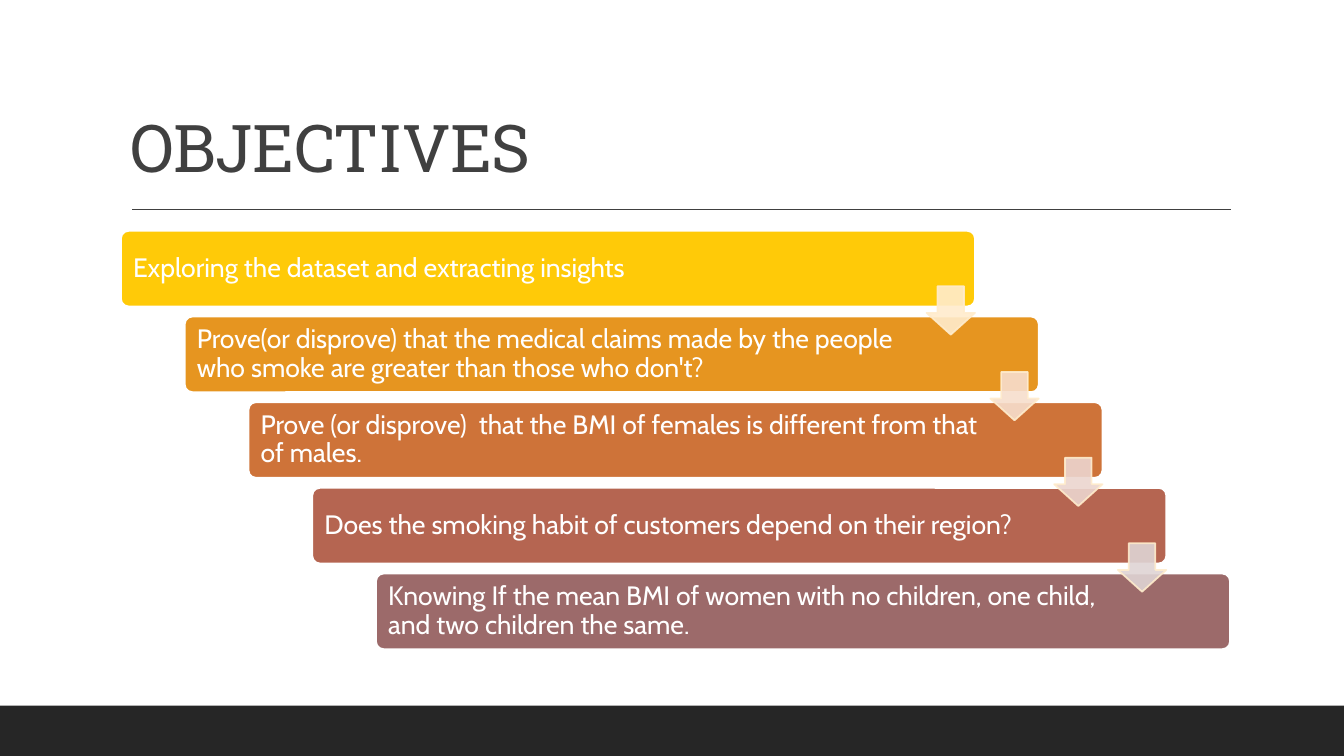
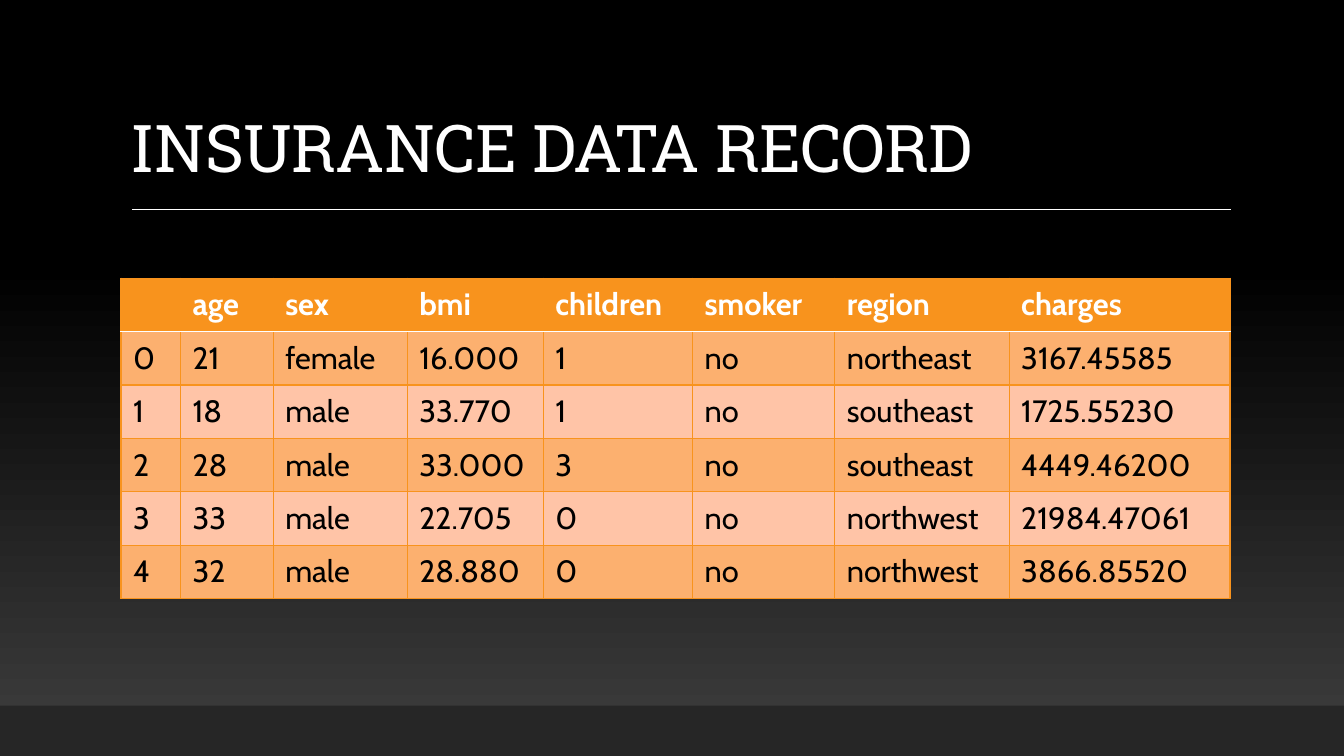
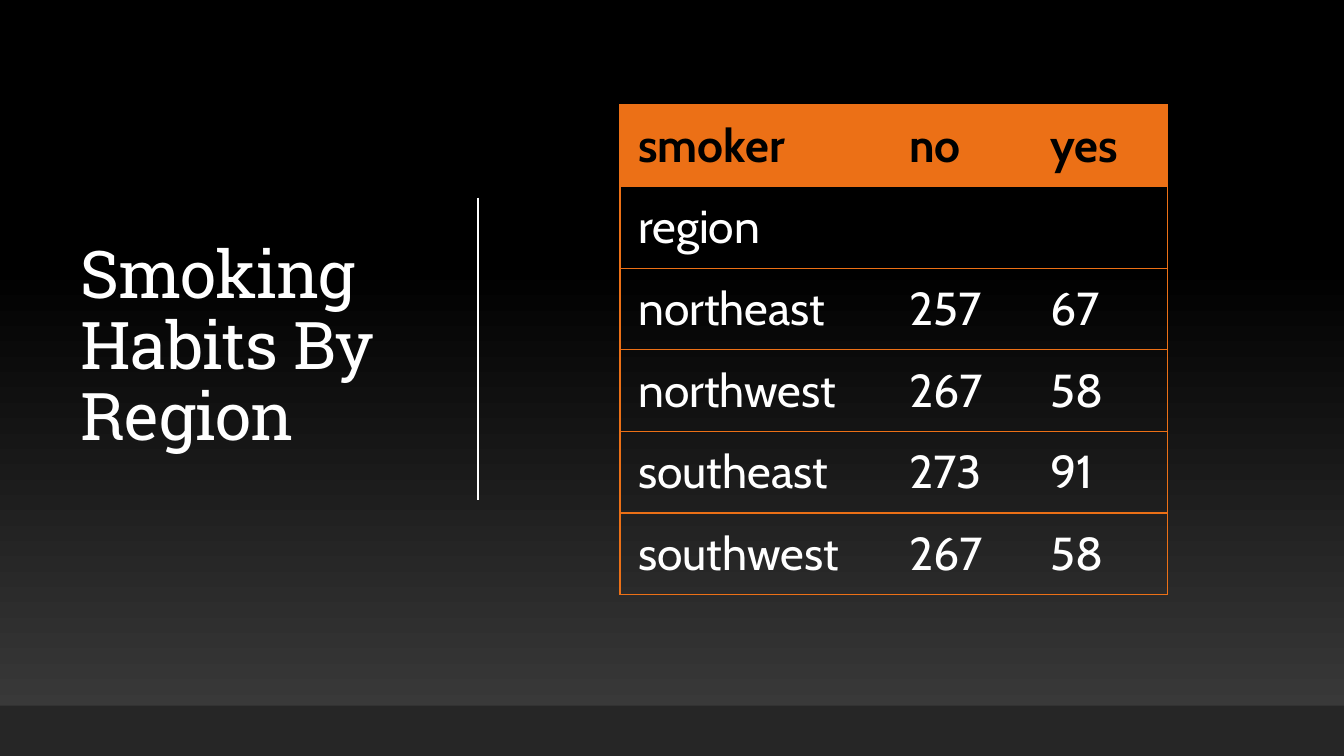
"""Build three slides on an insurance claims study."""
from lxml import etree
from pptx import Presentation
from pptx import util as u
from pptx.dml import color
from pptx.enum import shapes, text
from pptx.oxml import ns

HEAD, BODY = "Roboto Slab", "Cabin"
WHITE, BLACK, DARK, BAND = "FFFFFF", "000000", "404040", "262626"
AMBER, ORANGE, CREAM = "F8931D", "EC7016", "FFECCC"
WIDE, TALL = 13.33, 7.5
LEFT, SPAN = 1.2, 11

GOALS = [
    ("Exploring the dataset and extracting insights", "FFCA08", CREAM),
    ("Prove(or disprove) that the medical claims made by the people "
     "who smoke are greater than those who don't?", "E69520", "F7DECD"),
    ("Prove (or disprove)  that the BMI of females is different from that of males.",
     "CE7339", "ECD5CF"),
    ("Does the smoking habit of customers depend on their region?", "B56551", "DFD4D4"),
    ("Knowing If the mean BMI of women with no children, one child, "
     "and two children the same.", "9C6A6A", None),
]
RECORD = [
    ["", "age", "sex", "bmi", "children", "smoker", "region", "charges"],
    ["0", "21", "female", "16.000", "1", "no", "northeast", "3167.45585"],
    ["1", "18", "male", "33.770", "1", "no", "southeast", "1725.55230"],
    ["2", "28", "male", "33.000", "3", "no", "southeast", "4449.46200"],
    ["3", "33", "male", "22.705", "0", "no", "northwest", "21984.47061"],
    ["4", "32", "male", "28.880", "0", "no", "northwest", "3866.85520"],
]
HABITS = [
    ["smoker", "no", "yes"],
    ["region", "", ""],
    ["northeast", "257", "67"],
    ["northwest", "267", "58"],
    ["southeast", "273", "91"],
    ["southwest", "267", "58"],
]


def rgb(code):
    return color.RGBColor.from_string(code)


def box(*sizes):
    return [u.Inches(size) for size in sizes]


def style(frame, size, font, tint, bold=False):
    for par in frame.paragraphs:
        for run in par.runs:
            run.font.size, run.font.name = u.Pt(size), font
            run.font.bold, run.font.color.rgb = bold, rgb(tint)


def shape(slide, kind, place, fill, line=None):
    item = slide.shapes.add_shape(kind, *box(*place))
    item.shadow.inherit = False
    item.fill.solid()
    item.fill.fore_color.rgb = rgb(fill)
    if line:
        item.line.color.rgb, item.line.width = rgb(line), u.Pt(1.25)
    else:
        item.line.fill.background()
    return item


def fade(item, share):
    for tint in item._element.spPr.iter(ns.qn("a:srgbClr")):
        etree.SubElement(tint, ns.qn("a:alpha")).set("val", str(share * 1000))


def rule(slide, start, end, tint):
    line = slide.shapes.add_connector(shapes.MSO_CONNECTOR.STRAIGHT, *box(*start, *end))
    line.line.color.rgb, line.line.width = rgb(tint), u.Pt(1)
    etree.SubElement(line._element.spPr, ns.qn("a:effectLst"))


def title(slide, words, place, anchor, tint):
    frame = slide.shapes.add_textbox(*box(*place)).text_frame
    frame.word_wrap, frame.vertical_anchor = True, anchor
    frame.text = words
    par = frame.paragraphs[0]
    par.line_spacing = 0.9
    style(frame, 47, HEAD, tint)
    par.runs[0].font._element.set("spc", "-50")


def page(deck, words, dark=True, side=False):
    slide = deck.slides.add_slide(deck.slide_layouts[6])
    tint = WHITE if dark else DARK
    back = slide.background.fill
    if dark:
        back.gradient()
        back.gradient_angle = 90
        for stop, code, spot in zip(back.gradient_stops, ("3F3F3F", BLACK), (0, 0.65)):
            stop.color.rgb, stop.position = rgb(code), spot
    else:
        back.solid()
        back.fore_color.rgb = rgb(WHITE)
    if side:
        title(slide, words, (0.7, 0.69, 3.69, 5.53), text.MSO_ANCHOR.MIDDLE, tint)
        rule(slide, (4.74, 1.96), (4.74, 4.96), tint)
    else:
        title(slide, words, (LEFT, 0.31, SPAN, 1.59), text.MSO_ANCHOR.BOTTOM, tint)
        rule(slide, (1.31, 2.08), (12.21, 2.08), tint)
    shape(slide, shapes.MSO_SHAPE.RECTANGLE, (0, 7, WIDE, 0.5), BAND)
    return slide


def stairs(slide, goals):
    wide, high, drop, tip = 8.47, 0.75, 0.85, 0.48
    shift = (SPAN - wide) / (len(goals) - 1)
    for i, (words, fill, _) in enumerate(goals):
        place = (LEFT + i * shift, 2.29 + i * drop, wide, high)
        bar = shape(slide, shapes.MSO_SHAPE.ROUNDED_RECTANGLE, place, fill, WHITE)
        bar.adjustments[0] = 0.1
        frame = bar.text_frame
        frame.word_wrap, frame.vertical_anchor = True, text.MSO_ANCHOR.MIDDLE
        frame.margin_left, frame.margin_right = box(0.1, 1.2)
        frame.text = words
        par = frame.paragraphs[0]
        par.alignment, par.line_spacing = text.PP_ALIGN.LEFT, 0.9
        style(frame, 19, BODY, WHITE)
    for i, (_, _, fill) in enumerate(goals[:-1]):
        place = (LEFT + i * shift + wide - tip, 2.84 + i * drop, tip, tip)
        arrow = shape(slide, shapes.MSO_SHAPE.DOWN_ARROW, place, fill, CREAM)
        arrow.adjustments[0], arrow.adjustments[1] = 0.55, 0.45
        fade(arrow, 90)


def edges(cell, tints):
    props = cell._tc.get_or_add_tcPr()
    for i, (side, tint) in enumerate(zip("LRTB", tints)):
        line = etree.Element(ns.qn("a:ln" + side), w=str(u.Pt(1)))
        fill = etree.SubElement(line, ns.qn("a:solidFill" if tint else "a:noFill"))
        if tint:
            etree.SubElement(fill, ns.qn("a:srgbClr")).set("val", tint)
        props.insert(i, line)


def grid(slide, rows, spot, cols, high, size, pad, look):
    place = box(*spot, sum(cols), high * len(rows))
    table = slide.shapes.add_table(len(rows), len(cols), *place).table
    table.horz_banding = False
    for col, wide in zip(table.columns, cols):
        col.width = u.Inches(wide)
    for r, row in enumerate(rows):
        table.rows[r].height = u.Inches(high)
        for c, words in enumerate(row):
            cell = table.cell(r, c)
            cell.text = words
            cell.vertical_anchor = text.MSO_ANCHOR.MIDDLE
            cell.margin_left = cell.margin_right = u.Inches(pad)
            cell.margin_top = cell.margin_bottom = u.Inches(pad / 2)
            fill, ink, tints = look(r, c)
            style(cell.text_frame, size, BODY, ink, r == 0)
            if fill:
                cell.fill.solid()
                cell.fill.fore_color.rgb = rgb(fill)
            else:
                cell.fill.background()
            edges(cell, tints)


def banded(r, c):
    if r == 0:
        return AMBER, WHITE, (AMBER, AMBER, AMBER, WHITE)
    fill = "FCB06F" if r % 2 else "FFC4A7"
    return fill, BLACK, (AMBER, AMBER, WHITE if r == 1 else AMBER, AMBER)


def lined(r, c):
    sides = (ORANGE if c == 0 else None, ORANGE if c == 2 else None)
    fill, ink = (None, WHITE) if r else (ORANGE, BLACK)
    return fill, ink, sides + (ORANGE, ORANGE)


def main():
    deck = Presentation()
    deck.slide_width, deck.slide_height = box(WIDE, TALL)
    stairs(page(deck, "OBJECTIVES", dark=False), GOALS)
    cols = [0.59, 0.92, 1.33, 1.35, 1.48, 1.41, 1.73, 2.19]
    grid(page(deck, "INSURANCE DATA RECORD"), RECORD, (LEFT, 2.76), cols,
         0.53, 22, 0.12, banded)
    grid(page(deck, "Smoking Habits By Region", side=True), HABITS, (6.15, 1.04),
         [2.69, 1.4, 1.34], 0.81, 33, 0.18, lined)
    deck.save("out.pptx")


if __name__ == "__main__":
    main()
